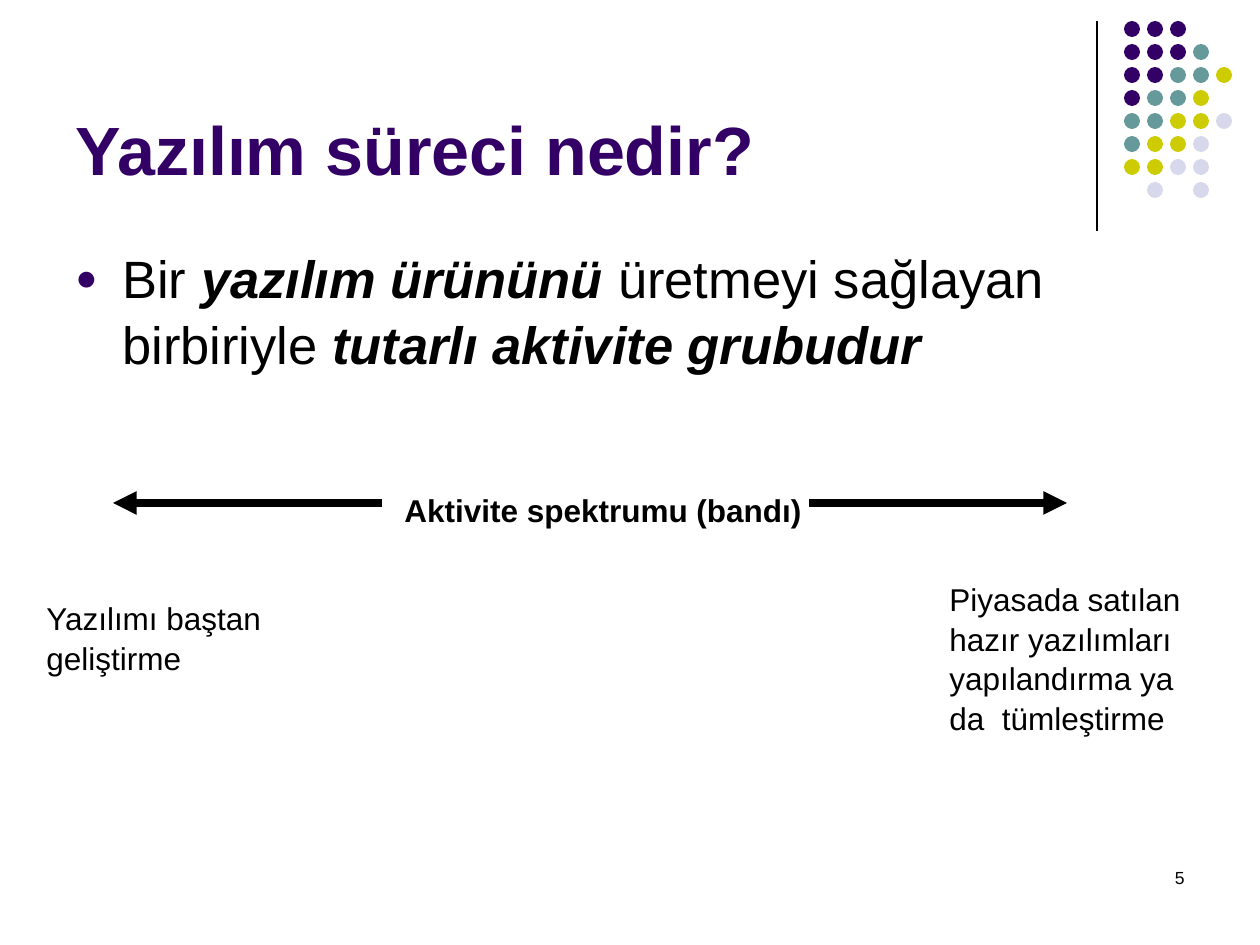
import dataclasses

import lxml.etree
import pptx
import pptx.dml.color
import pptx.enum.shapes
import pptx.enum.text
import pptx.oxml.ns
import pptx.util

ALIGN = pptx.enum.text.PP_ALIGN
ANCHOR = pptx.enum.text.MSO_ANCHOR
PX_PER_INCH = 126


@dataclasses.dataclass(frozen=True)
class Theme:
    font: str = "Arial"
    ink: str = "000000"
    purple: str = "330066"
    teal: str = "669999"
    olive: str = "CCCC00"
    lilac: str = "D8D8EC"
    title_size: int = 39
    body_size: int = 30
    label_size: int = 18
    number_size: int = 10
    body_gap: float = 7.5
    label_gap: float = 11.2
    line_spacing: float = 1.05


def px(length):
    return pptx.util.Emu(round(length * 914400 / PX_PER_INCH))


def rgb(value):
    return pptx.dml.color.RGBColor.from_string(value)


def add_xml(parent, tag, **attributes):
    return lxml.etree.SubElement(parent, pptx.oxml.ns.qn(tag), **attributes)


class SlidePainter:
    """Draws styled elements on the current slide."""

    def __init__(self, page, theme):
        self.page = page
        self.theme = theme

    def text(self, left, top, width, height, runs, size, color=None,
             align=ALIGN.LEFT, anchor=ANCHOR.TOP, gap=0, spacing=None):
        box = self.page.shapes.add_textbox(px(left), px(top), px(width), px(height))
        frame = box.text_frame
        frame.word_wrap = True
        frame.vertical_anchor = anchor
        para = frame.paragraphs[0]
        para.alignment = align
        para.space_before = pptx.util.Pt(gap)
        if spacing:
            para.line_spacing = spacing
        for words, bold, italic in runs:
            span = para.add_run()
            span.text = words
            span.font.name = self.theme.font
            span.font.size = pptx.util.Pt(size)
            span.font.bold = bold
            span.font.italic = italic
            span.font.color.rgb = rgb(color or self.theme.ink)
        return para

    def label(self, left, top, width, height, words, bold=False):
        return self.text(left, top, width, height, [(words, bold, False)],
                         self.theme.label_size, gap=self.theme.label_gap,
                         spacing=self.theme.line_spacing)

    def bullet(self, para, indent):
        properties = para._p.get_or_add_pPr()
        properties.set("marL", str(px(indent)))
        properties.set("indent", str(-px(indent)))
        color = add_xml(properties, "a:buClr")
        add_xml(color, "a:srgbClr", val=self.theme.purple)
        add_xml(properties, "a:buSzPct", val="70000")
        add_xml(properties, "a:buFont", typeface=self.theme.font)
        add_xml(properties, "a:buChar", char="●")

    def line(self, start, end, weight, arrow=False):
        connector = self.page.shapes.add_connector(
            pptx.enum.shapes.MSO_CONNECTOR.STRAIGHT, *map(px, start + end))
        connector.line.color.rgb = rgb(self.theme.ink)
        connector.line.width = pptx.util.Pt(weight)
        if arrow:
            add_xml(connector.line._get_or_add_ln(), "a:tailEnd", type="triangle")
        add_xml(connector._element.spPr, "a:effectLst")

    def dot(self, left, top, diameter, color):
        dot = self.page.shapes.add_shape(
            pptx.enum.shapes.MSO_SHAPE.OVAL,
            px(left), px(top), px(diameter), px(diameter))
        dot.shadow.inherit = False
        dot.fill.solid()
        dot.fill.fore_color.rgb = rgb(color)
        dot.line.fill.background()

    def dot_grid(self, left, top, pitch, diameter, rows):
        colors = {"P": self.theme.purple, "T": self.theme.teal,
                  "O": self.theme.olive, "L": self.theme.lilac}
        for row, letters in enumerate(rows):
            for column, letter in enumerate(letters):
                if letter in colors:
                    self.dot(left + column * pitch, top + row * pitch,
                             diameter, colors[letter])


def main():
    deck = pptx.Presentation()
    deck.slide_width, deck.slide_height = px(1260), px(945)
    page = deck.slides.add_slide(deck.slide_layouts[6])
    theme = Theme()
    painter = SlidePainter(page, theme)

    painter.line((1097, 21), (1097, 231), 0.75)
    painter.dot_grid(1124, 21, 23, 16, [
        "PPP", "PPPT", "PPTTO", "PTTO", "TTOOL", "TOOL", "OOLL", ".L.L"])

    painter.text(903, 861, 294, 63, [("5", False, False)],
                 theme.number_size, align=ALIGN.RIGHT)
    painter.text(63, 16, 1040, 179, [("Yazılım süreci nedir?", True, False)],
                 theme.title_size, theme.purple, anchor=ANCHOR.BOTTOM)
    definition = painter.text(63, 237, 1134, 607, [
        ("Bir ", False, False),
        ("yazılım ürününü", True, True),
        (" üretmeyi sağlayan birbiriyle ", False, False),
        ("tutarlı aktivite grubudur", True, True),
    ], theme.body_size, gap=theme.body_gap, spacing=theme.line_spacing)
    painter.bullet(definition, 47)

    painter.label(392, 483, 486, 50, "Aktivite spektrumu (bandı)", bold=True)
    painter.line((382, 503), (113, 503), 4.5, arrow=True)
    painter.line((809, 503), (1067, 503), 4.5, arrow=True)
    painter.label(34, 591, 307, 88, "Yazılımı baştan geliştirme")
    painter.label(937, 572, 277, 164,
                  "Piyasada satılan hazır yazılımları yapılandırma ya da  tümleştirme")

    deck.save("out.pptx")


if __name__ == "__main__":
    main()
